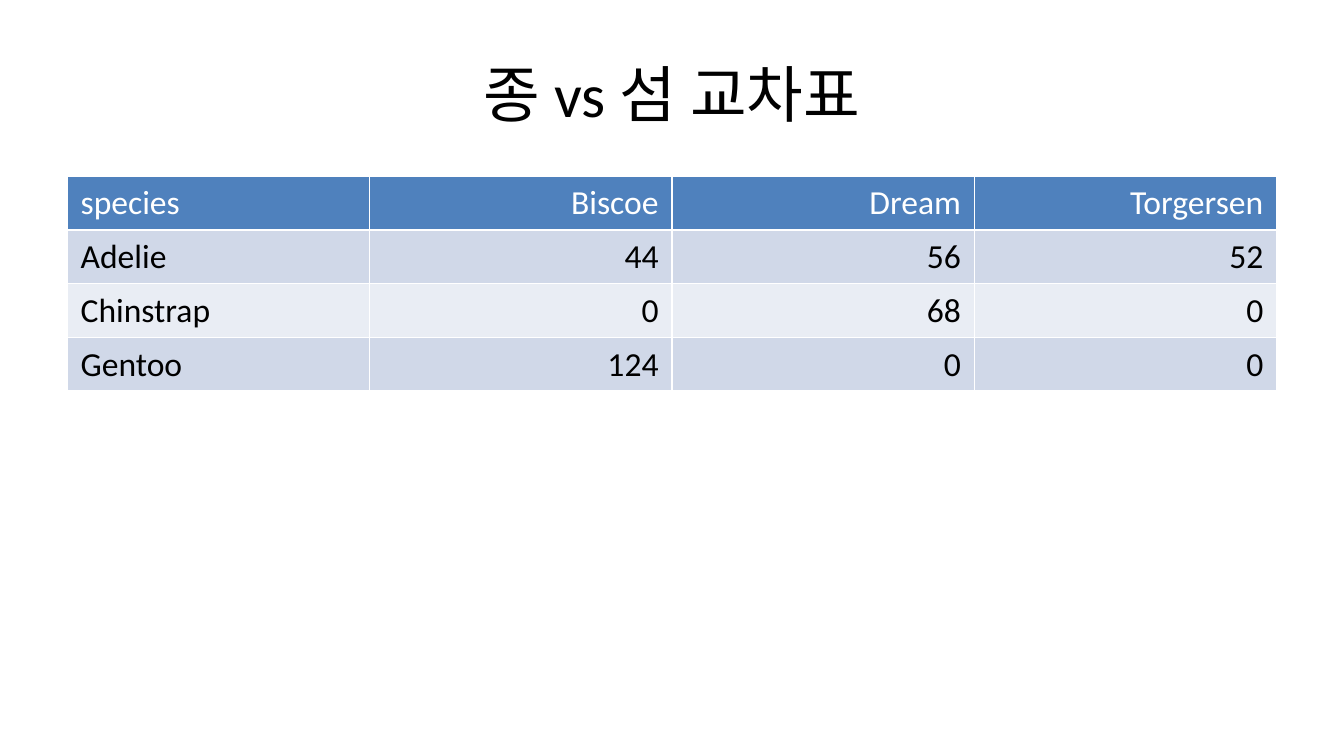
from pptx import Presentation
from pptx.dml.color import RGBColor
from pptx.enum.text import MSO_ANCHOR, PP_ALIGN
from pptx.util import Inches, Pt

BLACK = RGBColor(0x00, 0x00, 0x00)
WHITE = RGBColor(0xFF, 0xFF, 0xFF)
HEADER_BLUE = RGBColor(0x4F, 0x81, 0xBD)
BAND_DARK = RGBColor(0xD0, 0xD8, 0xE8)
BAND_LIGHT = RGBColor(0xE9, 0xED, 0xF4)

ROWS = [
    ["species", "Biscoe", "Dream", "Torgersen"],
    ["Adelie", "44", "56", "52"],
    ["Chinstrap", "0", "68", "0"],
    ["Gentoo", "124", "0", "0"],
]


def add_text(paragraph, text, size, color, alignment):
    paragraph.alignment = alignment
    run = paragraph.add_run()
    run.text = text
    run.font.name = "Calibri"
    run.font.size = Pt(size)
    run.font.bold = False
    run.font.color.rgb = color


# Widescreen slide, 16:9
presentation = Presentation()
presentation.slide_width = Inches(10)
presentation.slide_height = Inches(10) * 9 // 16
slide = presentation.slides.add_slide(presentation.slide_layouts[6])

# Title
title = slide.shapes.add_textbox(Inches(0.5), Inches(0.22), Inches(9), Inches(0.94))
title.text_frame.word_wrap = True
title.text_frame.vertical_anchor = MSO_ANCHOR.MIDDLE
add_text(title.text_frame.paragraphs[0], "종 vs 섬 교차표", 33, BLACK, PP_ALIGN.CENTER)

# Species by island table; the default table style draws the white borders
row_height = Inches(0.4)
table = slide.shapes.add_table(
    len(ROWS), len(ROWS[0]), Inches(0.5), Inches(1.31),
    Inches(9), row_height * len(ROWS),
).table

for row_index, values in enumerate(ROWS):
    if row_index == 0:
        fill_color, text_color = HEADER_BLUE, WHITE
    else:
        fill_color = BAND_DARK if row_index % 2 else BAND_LIGHT
        text_color = BLACK
    for column_index, value in enumerate(values):
        cell = table.cell(row_index, column_index)
        cell.fill.solid()
        cell.fill.fore_color.rgb = fill_color
        alignment = PP_ALIGN.RIGHT if column_index else PP_ALIGN.LEFT
        add_text(cell.text_frame.paragraphs[0], value, 18, text_color, alignment)

presentation.save("out.pptx")
